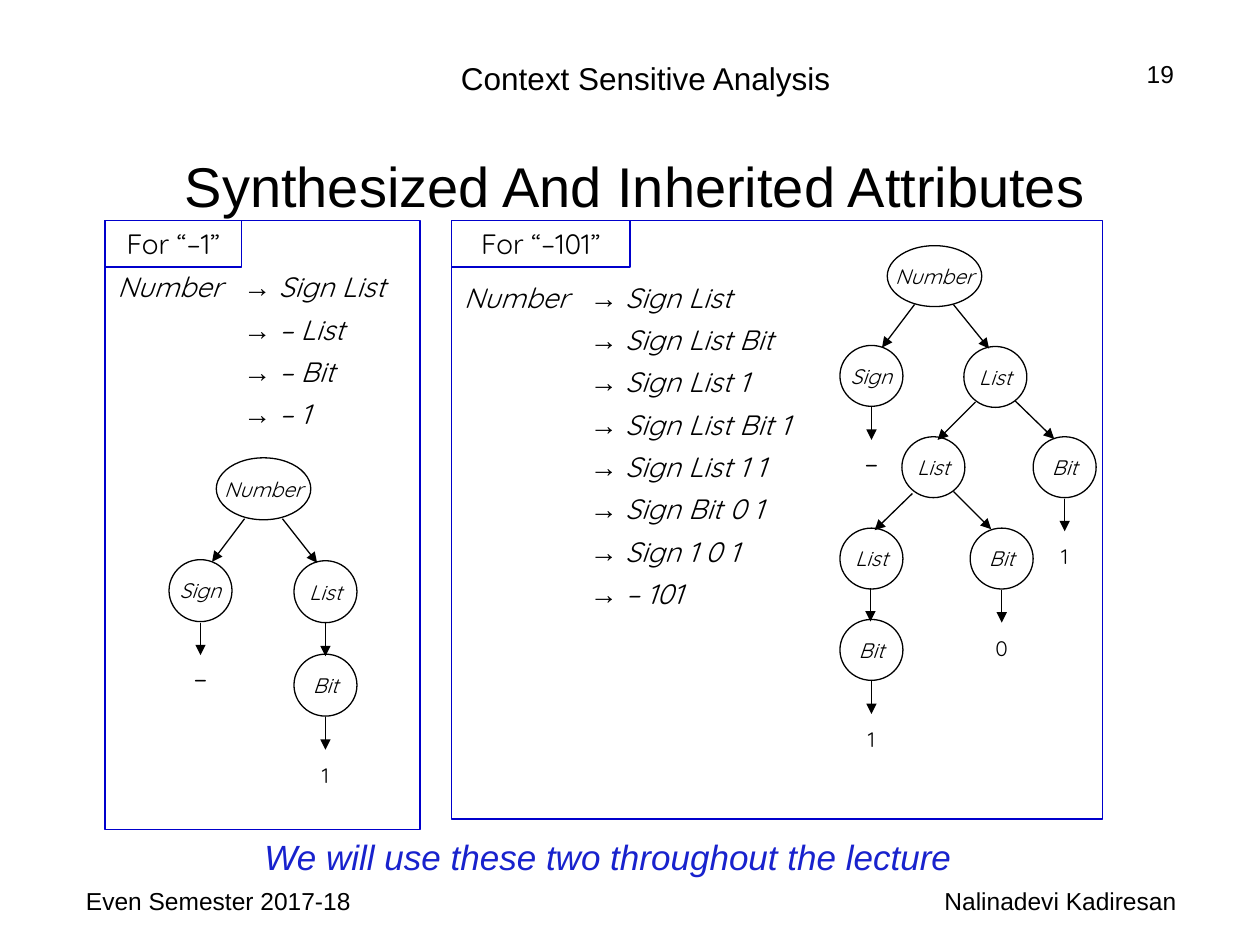
from dataclasses import dataclass

from lxml import etree
from pptx import Presentation
from pptx.dml.color import RGBColor
from pptx.enum.shapes import MSO_CONNECTOR, MSO_SHAPE
from pptx.enum.text import MSO_ANCHOR, MSO_AUTO_SIZE, PP_ALIGN
from pptx.oxml.ns import qn
from pptx.util import Emu, Pt

PX = 7620  # 120 px to the inch
TAB_STOP = 120
LEFT, CENTER, RIGHT = PP_ALIGN.LEFT, PP_ALIGN.CENTER, PP_ALIGN.RIGHT
TOP, MIDDLE = MSO_ANCHOR.TOP, MSO_ANCHOR.MIDDLE
ELLIPSE, RECTANGLE = MSO_SHAPE.OVAL, MSO_SHAPE.RECTANGLE
ARIAL, QUICKSAND = "Arial", "Quicksand"
COLORS = {"ink": "000000", "frame": "0000CC", "note": "1822CD"}


@dataclass
class Area:
    left: int
    top: int
    width: int
    height: int

    def emu(self) -> tuple[Emu, ...]:
        return tuple(px(v) for v in (self.left, self.top, self.width, self.height))


@dataclass
class Node:
    label: str
    left: int
    top: int
    leaf: str = ""
    width: int = 60


@dataclass
class Panel:
    frame: Area
    heading: Area
    title: str
    steps: list[str]
    steps_area: Area
    node_height: int
    nodes: list[Node]
    branches: list[tuple[int, int, int, int]]  # from x, y to x, y


PANELS = [
    Panel(
        Area(100, 210, 300, 580), Area(100, 210, 130, 44), "For “–1”",
        ["Sign List", "– List", "– Bit", "– 1"],
        Area(100, 251, 300, 164), 59,
        [
            Node("Number", 206, 436, width=90),
            Node("Sign", 161, 533, "–"),
            Node("List", 280, 534),
            Node("Bit", 280, 623, "1"),
        ],
        [(233, 494, 202, 535), (269, 494, 302, 536), (310, 593, 310, 625)],
    ),
    Panel(
        Area(430, 210, 620, 570), Area(430, 210, 170, 44), "For “–101”",
        ["Sign List", "Sign List Bit", "Sign List 1", "Sign List Bit 1",
         "Sign List 1 1", "Sign Bit 0 1", "Sign 1 0 1", "– 101"],
        Area(430, 261, 360, 326), 58,
        [
            Node("Number", 845, 234, width=90),
            Node("Sign", 800, 329, "–"),
            Node("List", 918, 330),
            Node("List", 859, 416),
            Node("Bit", 984, 416, "1"),
            Node("List", 800, 503),
            Node("Bit", 924, 503, "0"),
            Node("Bit", 800, 590, "1"),
        ],
        [(871, 290, 840, 331), (908, 290, 942, 332), (967, 382, 1004, 418),
         (929, 383, 893, 419), (908, 468, 944, 504), (869, 470, 833, 505),
         (829, 560, 829, 592)],
    ),
]


def px(value: int) -> Emu:
    return Emu(value * PX)


def write(box, lines: list, *, size: int, font: str = ARIAL, color: str = "ink",
          italic: bool = False, align=LEFT, anchor=TOP, wrap: bool = True,
          before: int = 0, tab: int = 0) -> None:
    """Fill a box; a line is a string or a list of (text, font) spans."""
    frame = box.text_frame
    frame.auto_size = MSO_AUTO_SIZE.NONE
    frame.word_wrap = wrap
    frame.vertical_anchor = anchor
    for index, line in enumerate(lines):
        para = frame.add_paragraph() if index else frame.paragraphs[0]
        para.alignment = align
        para.space_before = Pt(before if index else 0)
        if tab:
            stops = etree.SubElement(para._p.get_or_add_pPr(), qn("a:tabLst"))
            etree.SubElement(stops, qn("a:tab"), pos=str(px(tab)), algn="l")
        for text, face in [(line, font)] if isinstance(line, str) else line:
            span = para.add_run()
            span.text = text
            span.font.name = face
            span.font.size = Pt(size)
            span.font.italic = italic
            span.font.color.rgb = RGBColor.from_string(COLORS[color])


def add_text(page, area: Area, lines: list, **style) -> None:
    write(page.shapes.add_textbox(*area.emu()), lines, **style)


def add_outline(page, kind, area: Area, color: str, weight: float):
    shape = page.shapes.add_shape(kind, *area.emu())
    shape.shadow.inherit = False
    shape.fill.background()
    shape.line.color.rgb = RGBColor.from_string(COLORS[color])
    shape.line.width = Pt(weight)
    return shape


def add_arrow(page, x1: int, y1: int, x2: int, y2: int) -> None:
    arrow = page.shapes.add_connector(
        MSO_CONNECTOR.STRAIGHT, px(x1), px(y1), px(x2), px(y2))
    arrow.line.color.rgb = RGBColor.from_string(COLORS["ink"])
    arrow.line.width = Pt(0.75)
    etree.SubElement(arrow.line._get_or_add_ln(), qn("a:tailEnd"), type="triangle")
    etree.SubElement(arrow._element.spPr, qn("a:effectLst"))


def add_node(page, node: Node, height: int) -> None:
    oval = add_outline(page, ELLIPSE, Area(node.left, node.top, node.width, height),
                       "ink", 0.75)
    write(oval, [node.label], size=12, font=QUICKSAND, italic=True,
          align=CENTER, anchor=MIDDLE, wrap=False)
    if not node.leaf:
        return
    middle, bottom = node.left + node.width // 2, node.top + height
    add_arrow(page, middle, bottom + 1, middle, bottom + 32)
    is_digit = node.leaf.isdigit()
    drop, leaf_height, size = (38, 36, 12) if is_digit else (31, 44, 16)
    add_text(page, Area(node.left, bottom + drop, node.width, leaf_height),
             [node.leaf], size=size, font=QUICKSAND, align=CENTER)


def add_panel(page, panel: Panel) -> None:
    # Derivation steps
    lines = [
        [("\t" if index else "Number \t", QUICKSAND), ("→", ARIAL), (f" {step}", QUICKSAND)]
        for index, step in enumerate(panel.steps)
    ]
    add_text(page, panel.steps_area, lines, size=16, italic=True, before=5, tab=TAB_STOP)
    # Parse tree
    for node in panel.nodes:
        add_node(page, node, panel.node_height)
    for branch in panel.branches:
        add_arrow(page, *branch)
    # Frame and heading
    add_outline(page, RECTANGLE, panel.frame, "frame", 1)
    heading = add_outline(page, RECTANGLE, panel.heading, "frame", 1)
    write(heading, [panel.title], size=16, font=QUICKSAND, align=CENTER)


def main() -> None:
    deck = Presentation()
    deck.slide_width, deck.slide_height = px(1200), px(900)
    page = deck.slides.add_slide(deck.slide_layouts[5])

    # Title and header
    title = page.shapes.title
    title.left, title.top, title.width, title.height = Area(130, 120, 950, 112).emu()
    write(title, ["Synthesized And Inherited Attributes"], size=32,
          align=CENTER, anchor=MIDDLE)
    add_text(page, Area(170, 50, 890, 48), ["Context Sensitive Analysis"],
             size=18, align=CENTER)
    add_text(page, Area(920, 50, 210, 62), ["19"], size=14, align=RIGHT)

    for panel in PANELS:
        add_panel(page, panel)

    # Closing note and footer
    add_text(page, Area(240, 790, 690, 53),
             ["We will use these two throughout the lecture"],
             size=20, color="note", italic=True)
    add_text(page, Area(70, 838, 280, 62), ["Even Semester 2017-18"], size=14)
    add_text(page, Area(820, 838, 380, 62), ["Nalinadevi Kadiresan"],
             size=14, align=CENTER)

    deck.save("out.pptx")


if __name__ == "__main__":
    main()
